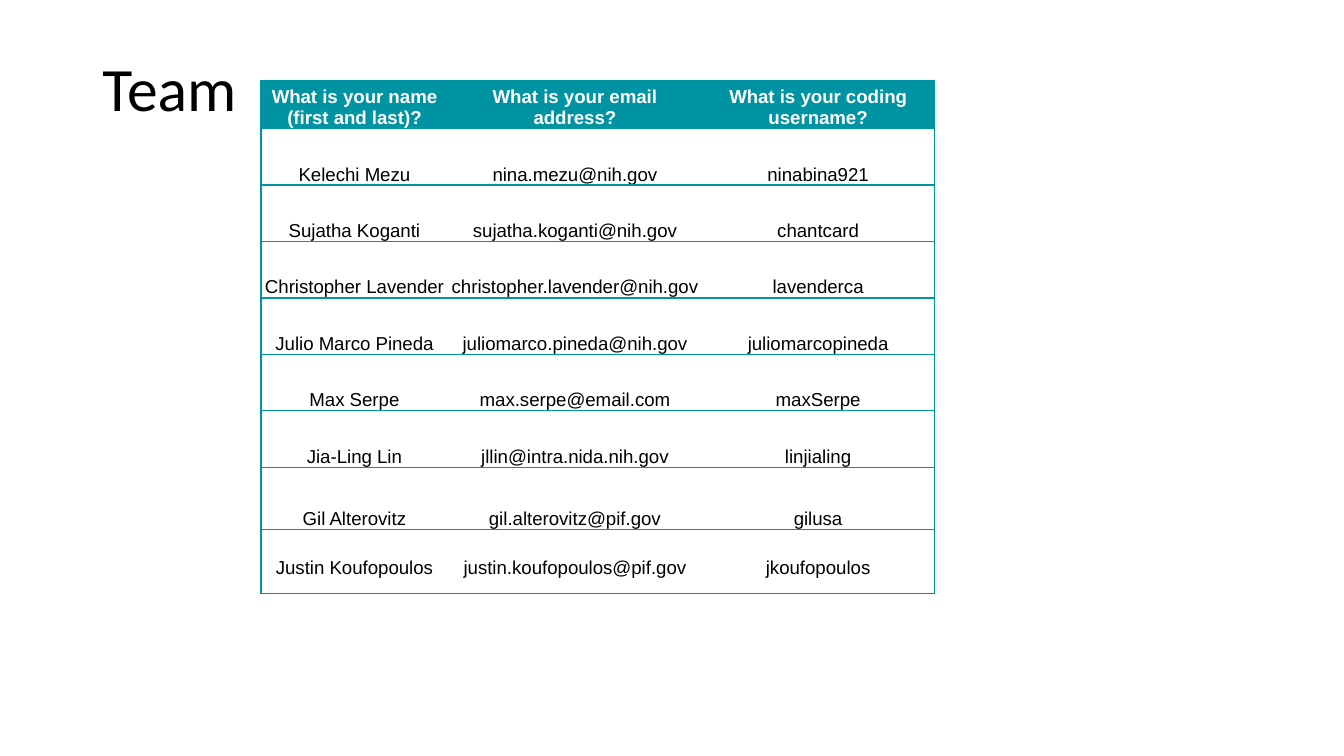
"""Build the team slide: a title beside a roster table."""
from dataclasses import dataclass

from lxml.etree import SubElement
from pptx import Presentation
from pptx.dml.color import RGBColor
from pptx.enum.text import MSO_ANCHOR, PP_ALIGN
from pptx.oxml.ns import qn
from pptx.util import Pt


@dataclass(frozen=True)
class Theme:
    """Colours, fonts and type sizes of the slide."""
    teal: str = "0094A3"
    white: str = "FFFFFF"
    black: str = "000000"
    title_font: str = "Calibri"
    table_font: str = "Arial"
    title_size: float = 33
    table_size: float = 10
    rule_width: float = 0.75


THEME = Theme()
QUESTIONS = ("What is your name (first and last)?", "What is your email address?",
             "What is your coding username?")
MEMBERS = (
    ("Kelechi Mezu", "nina.mezu@nih.gov", "ninabina921"),
    ("Sujatha Koganti", "sujatha.koganti@nih.gov", "chantcard"),
    ("Christopher Lavender", "christopher.lavender@nih.gov", "lavenderca"),
    ("Julio Marco Pineda", "juliomarco.pineda@nih.gov", "juliomarcopineda"),
    ("Max Serpe", "max.serpe@email.com", "maxSerpe"),
    ("Jia-Ling Lin", "jllin@intra.nida.nih.gov", "linjialing"),
    ("Gil Alterovitz", "gil.alterovitz@pif.gov", "gilusa"),
    ("Justin Koufopoulos", "justin.koufopoulos@pif.gov", "jkoufopoulos"),
)
COLUMN_WIDTHS = (100.1, 136.1, 124.5)
ROW_HEIGHTS = (25.7, *[30.25] * 6, 33.2, 34.3)


def add_run(paragraph, wording, font_name, size, color, bold=False):
    """Add one formatted run to a paragraph."""
    run = paragraph.add_run()
    run.text = wording
    run.font.name = font_name
    run.font.size = Pt(size)
    run.font.bold = bold
    run.font.color.rgb = RGBColor.from_string(color)


def set_margins(holder, left, top, right, bottom):
    """Set the four inner margins of a cell or text frame."""
    holder.margin_left, holder.margin_top = Pt(left), Pt(top)
    holder.margin_right, holder.margin_bottom = Pt(right), Pt(bottom)


def set_borders(cell, ruled_sides):
    """Rule the given sides of a cell and clear the others."""
    properties = cell._tc.get_or_add_tcPr()
    for side in "LRTB":
        rule = SubElement(properties, qn(f"a:ln{side}"), w=str(Pt(THEME.rule_width)))
        if side in ruled_sides:
            fill = SubElement(rule, qn("a:solidFill"))
            SubElement(fill, qn("a:srgbClr"), val=THEME.teal)
        else:
            SubElement(rule, qn("a:noFill"))


def add_title(slide, wording):
    """Place and format the slide title."""
    title = slide.shapes.title
    title.left, title.top, title.width, title.height = Pt(49.5), Pt(10), Pt(621), Pt(78.5)
    frame = title.text_frame
    frame.word_wrap = True
    frame.vertical_anchor = MSO_ANCHOR.MIDDLE
    set_margins(frame, 5.4, 2.7, 5.4, 2.7)
    paragraph = frame.paragraphs[0]
    paragraph.alignment = PP_ALIGN.LEFT
    paragraph.line_spacing = 0.9
    add_run(paragraph, wording, THEME.title_font, THEME.title_size, THEME.black)


def fill_cell(cell, wording, is_header, is_last, ruled_sides):
    """Write and format one roster cell."""
    set_borders(cell, ruled_sides)
    if is_header:
        cell.fill.solid()
        cell.fill.fore_color.rgb = RGBColor.from_string(THEME.teal)
    else:
        cell.fill.background()
    if is_last:
        cell.vertical_anchor = MSO_ANCHOR.TOP
        set_margins(cell, 7.2, 15.1, 7.2, 3.6)
    else:
        cell.vertical_anchor = MSO_ANCHOR.BOTTOM
        set_margins(cell, 0.7, 0.7, 0.7, 0)
    paragraph = cell.text_frame.paragraphs[0]
    paragraph.alignment = PP_ALIGN.CENTER
    color = THEME.white if is_header else THEME.black
    add_run(paragraph, wording, THEME.table_font, THEME.table_size, color, is_header)


def add_roster(slide):
    """Add the table of team members."""
    entries = (QUESTIONS, *MEMBERS)
    roster = slide.shapes.add_table(
        len(entries), len(QUESTIONS), Pt(139.8), Pt(43.2),
        Pt(sum(COLUMN_WIDTHS)), Pt(sum(ROW_HEIGHTS))).table
    roster.horz_banding = False
    for column, width in zip(roster.columns, COLUMN_WIDTHS):
        column.width = Pt(width)
    for row, height in zip(roster.rows, ROW_HEIGHTS):
        row.height = Pt(height)
    outer_sides = {0: "LTB", len(QUESTIONS) - 1: "RTB"}
    for row_index, entry in enumerate(entries):
        for column_index, wording in enumerate(entry):
            fill_cell(roster.cell(row_index, column_index), wording,
                      row_index == 0, row_index == len(entries) - 1,
                      outer_sides.get(column_index, "TB"))


def main():
    """Build and save the slide."""
    presentation = Presentation()
    presentation.slide_width, presentation.slide_height = Pt(720), Pt(405)
    slide = presentation.slides.add_slide(presentation.slide_layouts[5])
    add_title(slide, "Team")
    add_roster(slide)
    presentation.save("out.pptx")


if __name__ == "__main__":
    main()
